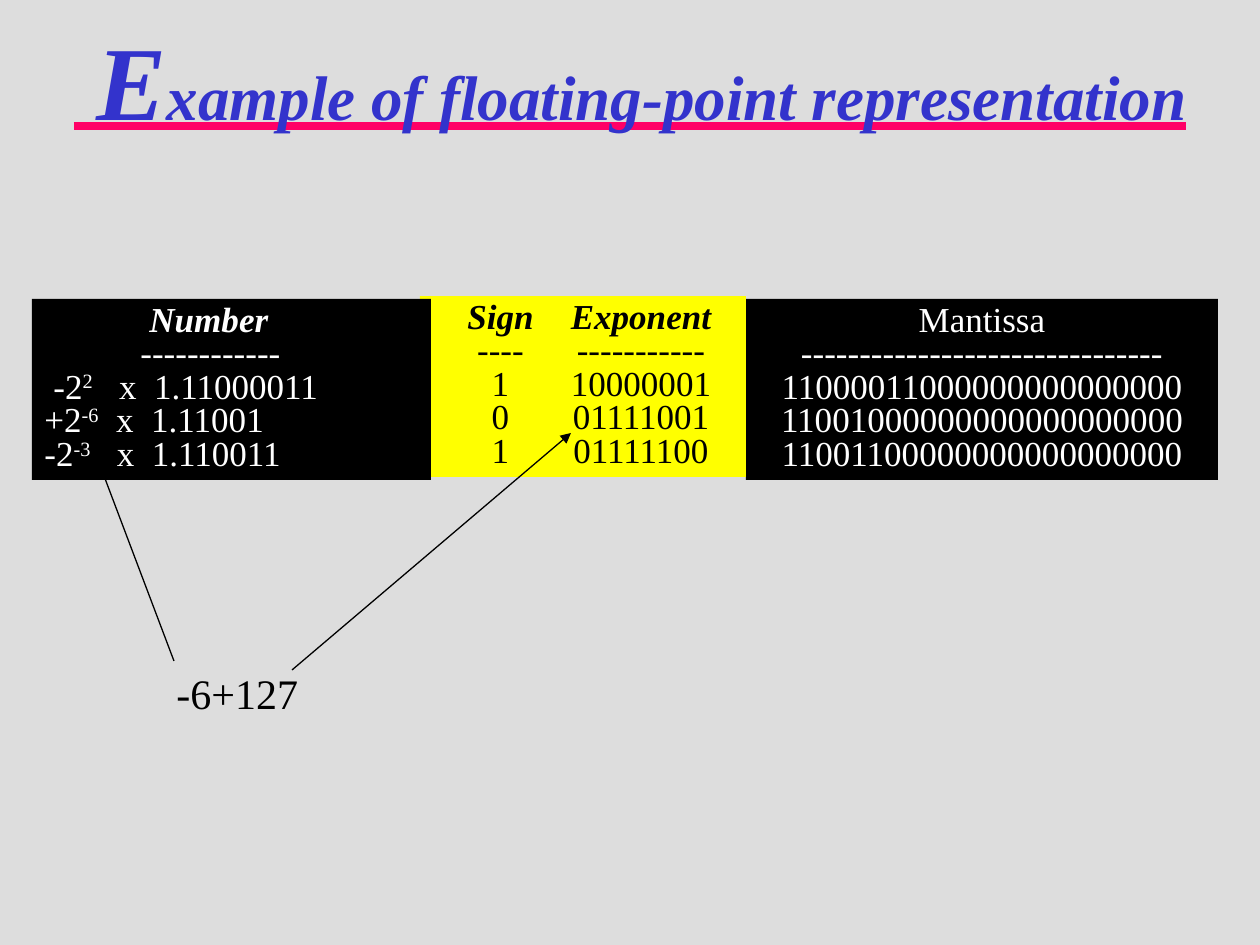
import pptx
import pptx.util
import pptx.dml.color
import pptx.enum.shapes
import pptx.enum.text
import pptx.oxml.ns
from lxml import etree

Pt = pptx.util.Pt
Align = pptx.enum.text.PP_ALIGN
Anchor = pptx.enum.text.MSO_ANCHOR

# Content: each paragraph is (first-line indent in px, runs);
# each run is (text, style)
TITLE = [(0, [("E", "initial"), ("xample of floating-point representation", "title")])]
LABEL = [(0, [("-6+127", "label")])]


def column(head, dashes, rows, style="head"):
    lines = [(head, style), (dashes, "cell")] + [(row, "cell") for row in rows]
    return [(0, [line]) for line in lines]


def power(indent, base, exp, gap, value):
    return indent, [(base, "cell"), (exp, "super"), (" ", gap),
                    ("x", "cell"), (" ", "gap"), (value, "cell")]


SIGN = column("Sign", "----", ["1", "0", "1"])
EXPONENT = column("Exponent", "-----------", ["10000001", "01111001", "01111100"])
MANTISSA = column("Mantissa", "-------------------------------", [
    "11000011000000000000000", "11001000000000000000000",
    "11001100000000000000000"], "cell")
NUMBER = [
    (105, [("Number", "head")]),
    (96, [("------------", "cell")]),
    power(9, "-2", "2", "wide", "1.11000011"),
    power(0, "+2", "-6", "gap", "1.11001"),
    power(0, "-2", "-3", "wide", "1.110011"),
]

# Table columns, back to front: paragraphs, left, top, width, look, alignment
COLUMNS = [
    (SIGN, 420, 296, 161, "light", Align.CENTER),
    (MANTISSA, 746, 299, 472, "dark", Align.CENTER),
    (NUMBER, 32, 299, 399, "dark", Align.LEFT),
    (EXPONENT, 536, 296, 210, "light", Align.CENTER),
]
HEIGHT = 181
ARROWS = [(174, 661, 84, 423), (292, 670, 571, 433)]

PLAIN = {"size": Pt(20), "bold": False, "italic": False}
THEME = {
    "font": "Times New Roman",
    "back": "DDDDDD", "rule": "FF0066", "title": "3333CC", "ink": "000000",
    "light": {"fill": "FFFF00", "text": "000000"},
    "dark": {"fill": "000000", "text": "FFFFFF"},
    "styles": {
        "initial": {"size": Pt(60), "bold": True, "italic": True},
        "title": {"size": Pt(36), "bold": True, "italic": True},
        "head": {"size": Pt(20), "bold": True, "italic": True},
        "cell": PLAIN, "super": PLAIN, "gap": PLAIN, "wide": PLAIN,
        "label": {"size": Pt(24), "bold": False, "italic": False},
    },
    # Run attributes: raised text and widened spaces
    "extras": {"super": ("baseline", "30000"),
               "gap": ("spc", "500"), "wide": ("spc", "1000")},
}


def px(n):
    return round(n * 914400 / 126)


def rgb(code):
    return pptx.dml.color.RGBColor.from_string(code)


def put(item, values):
    for key, value in values.items():
        setattr(item, key, value)


def add(parent, tag, **attrs):
    node = etree.SubElement(parent, pptx.oxml.ns.qn(tag))
    for key, value in attrs.items():
        node.set(key, value)


def write(shape, paras, color, align=Align.LEFT, anchor=Anchor.TOP, space=1.0):
    frame = shape.text_frame
    put(frame, {
        "word_wrap": True, "vertical_anchor": anchor,
        "auto_size": pptx.enum.text.MSO_AUTO_SIZE.NONE,
        "margin_left": px(12.6), "margin_right": px(12.6),
        "margin_top": px(6.3), "margin_bottom": px(6.3),
    })
    for i, (indent, runs) in enumerate(paras):
        para = frame.paragraphs[0] if i == 0 else frame.add_paragraph()
        put(para, {"alignment": align, "line_spacing": space})
        props = para._p.get_or_add_pPr()
        props.set("marL", "0")
        props.set("indent", str(px(indent)))
        for text, style in runs:
            run = para.add_run()
            run.text = text
            put(run.font, {"name": THEME["font"], **THEME["styles"][style]})
            run.font.color.rgb = rgb(color)
            if style in THEME["extras"]:
                run._r.get_or_add_rPr().set(*THEME["extras"][style])


def link(shapes, ends, color, width, head=False):
    line = shapes.add_connector(
        pptx.enum.shapes.MSO_CONNECTOR.STRAIGHT, *[px(n) for n in ends])
    line.line.color.rgb = rgb(color)
    line.line.width = Pt(width)
    if head:
        add(line.line._get_or_add_ln(), "a:tailEnd", type="triangle")
    add(line._element.spPr, "a:effectLst")


def main():
    deck = pptx.Presentation()
    put(deck, {"slide_width": px(1260), "slide_height": px(945)})
    slide = deck.slides.add_slide(deck.slide_layouts[5])
    shapes = slide.shapes
    slide.background.fill.solid()
    slide.background.fill.fore_color.rgb = rgb(THEME["back"])

    # Title over its rule
    link(shapes, (74, 126, 1186, 126), THEME["rule"], 4.5)
    title = shapes.title
    put(title, {"left": px(84), "top": px(9), "width": px(1160), "height": px(139)})
    write(title, TITLE, THEME["title"], anchor=Anchor.BOTTOM)
    title.element.getparent().append(title.element)

    # Number and its three fields
    for paras, left, top, width, look, align in COLUMNS:
        box = shapes.add_shape(pptx.enum.shapes.MSO_SHAPE.RECTANGLE,
                               px(left), px(top), px(width), px(HEIGHT))
        box.shadow.inherit = False
        box.fill.solid()
        box.fill.fore_color.rgb = rgb(THEME[look]["fill"])
        box.line.fill.background()
        write(box, paras, THEME[look]["text"], align, space=0.8)

    # Exponent bias note with its arrows
    note = shapes.add_textbox(px(164), px(661), px(208), px(63))
    write(note, LABEL, THEME["ink"])
    for ends in ARROWS:
        link(shapes, ends, THEME["ink"], 0.75, head=True)

    deck.save("out.pptx")


if __name__ == "__main__":
    main()
